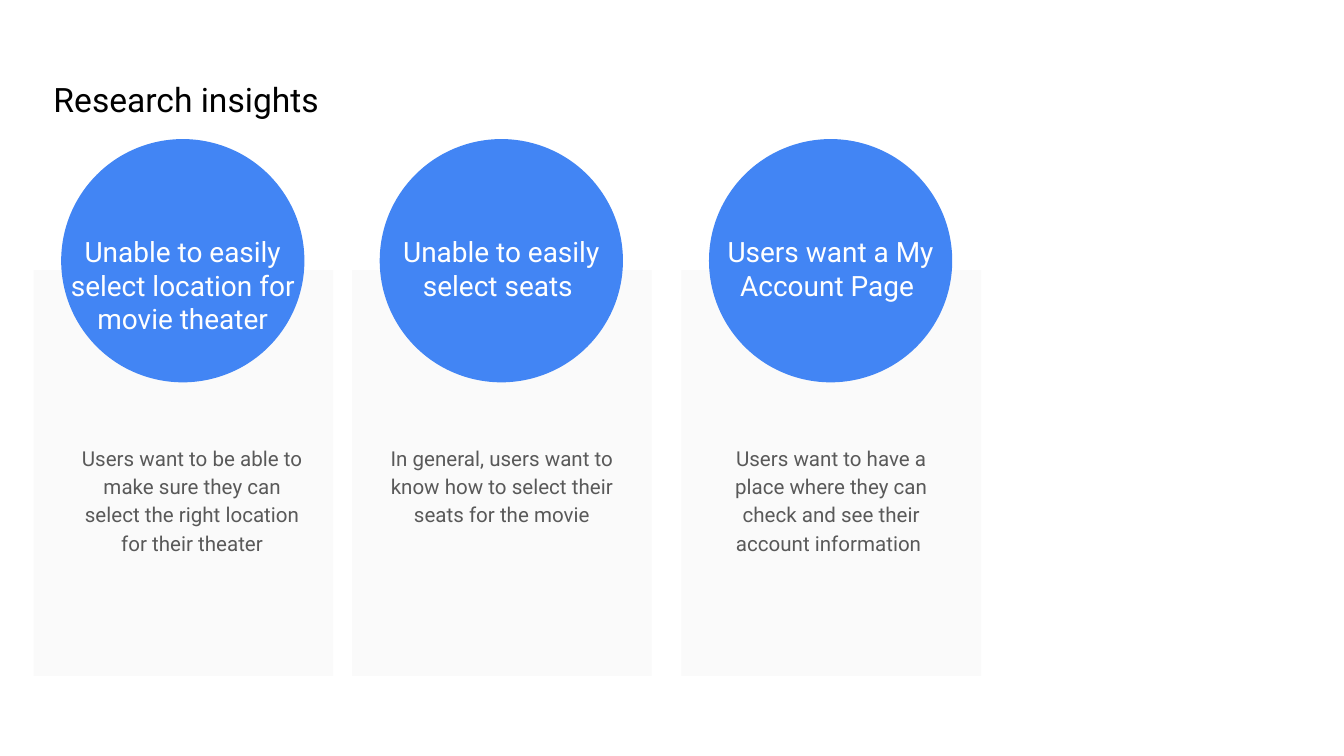
import pptx
import pptx.dml.color
import pptx.enum.shapes
import pptx.enum.text
import pptx.util

COLOURS = {"panel": "FAFAFA", "circle": "4285F4", "light": "FFFFFF",
           "body": "595959", "title": "000000"}
SHAPES = pptx.enum.shapes.MSO_SHAPE
ALIGN = pptx.enum.text.PP_ALIGN
CELL = 0.1  # inches per grid column and row

PANEL_TOP, PANEL_WIDTH, PANEL_HEIGHT = 20.1, 22.3, 30.2
CIRCLE_TOP, CIRCLE_SIZE, CIRCLE_INDENT = 10.35, 18.1, 2.05
TEXT_WIDTH, HEADING_INDENT = 19.5, 1.35

# Panel column, body text column, heading, body
INSIGHTS = [
    (2.5, 4.55, "Unable to easily select location for movie theater",
     "Users want to be able to make sure they can select the right location "
     "for their theater"),
    (26.2, 27.6, "Unable to easily select seats ",
     "In general, users want to know how to select their seats for the movie"),
    (50.7, 52.1, "Users want a My Account Page ",
     "Users want to have a place where they can check and see their "
     "account information "),
]


def colour(name):
    return pptx.dml.color.RGBColor.from_string(COLOURS[name])


def cells(*counts):
    """Turn grid counts into lengths."""
    return [pptx.util.Inches(count * CELL) for count in counts]


class InsightSlide:
    font = "Roboto"

    def __init__(self, deck):
        self.slide = deck.slides.add_slide(deck.slide_layouts[6])

    def block(self, preset, fill, *place):
        block = self.slide.shapes.add_shape(preset, *cells(*place))
        block.shadow.inherit = False
        block.fill.solid()
        block.fill.fore_color.rgb = colour(fill)
        block.line.fill.background()

    def text(self, words, *place, size, ink, align=ALIGN.CENTER,
             spacing=1.0, after=0, inset_top=1):
        frame = self.slide.shapes.add_textbox(*cells(*place)).text_frame
        frame.word_wrap = True
        frame.margin_left, frame.margin_right, frame.margin_bottom = cells(1, 1, 1)
        frame.margin_top, = cells(inset_top)
        paragraph = frame.paragraphs[0]
        paragraph.alignment = align
        paragraph.line_spacing = spacing
        paragraph.space_after = pptx.util.Pt(after)
        run = paragraph.add_run()
        run.text = words
        run.font.name = self.font
        run.font.size = pptx.util.Pt(size)
        run.font.color.rgb = colour(ink)

    def insight(self, left, body_left, heading, body):
        self.block(SHAPES.RECTANGLE, "panel",
                   left, PANEL_TOP, PANEL_WIDTH, PANEL_HEIGHT)
        self.block(SHAPES.OVAL, "circle", left + CIRCLE_INDENT, CIRCLE_TOP,
                   CIRCLE_SIZE, CIRCLE_SIZE)
        self.text(heading, left + HEADING_INDENT, 16.45, TEXT_WIDTH, 5.9,
                  size=15, ink="light", after=16)
        self.text(body, body_left, 27.8, TEXT_WIDTH, 14.7, size=11,
                  ink="body", spacing=1.15, after=16, inset_top=5.1)


def main():
    deck = pptx.Presentation()
    deck.slide_width, deck.slide_height = cells(100, 56.25)
    page = InsightSlide(deck)
    for insight in INSIGHTS:
        page.insight(*insight)
    page.text("Research insights", 3, 4.4, 50.4, 5.3, size=18, ink="title",
              align=ALIGN.LEFT, spacing=1.15)
    deck.save("out.pptx")


if __name__ == "__main__":
    main()
